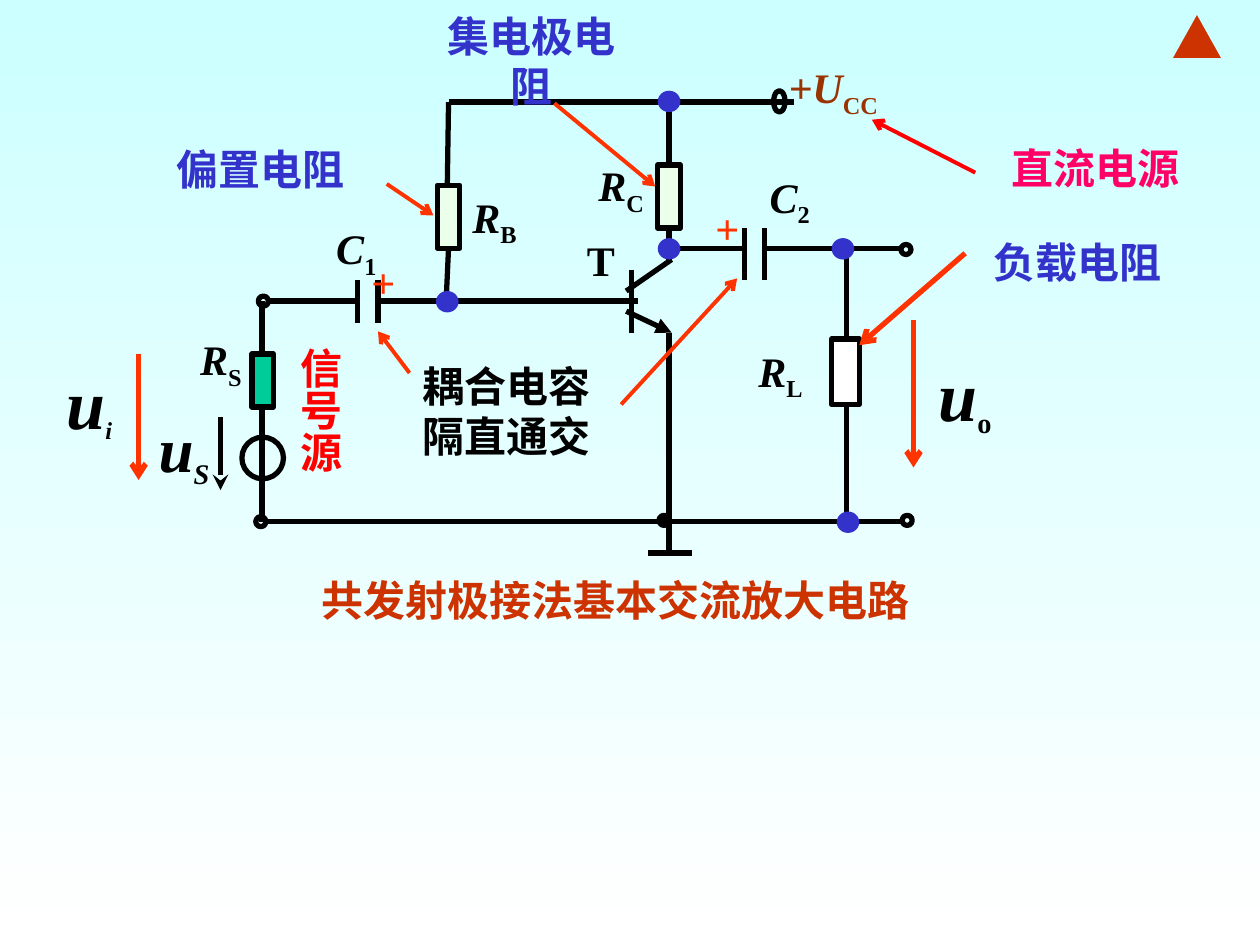
from dataclasses import dataclass
from typing import NamedTuple

from lxml.etree import SubElement
from pptx import Presentation
from pptx.dml.color import RGBColor
from pptx.enum.shapes import MSO_CONNECTOR as Link, MSO_SHAPE as Preset
from pptx.enum.text import MSO_ANCHOR as Anchor, MSO_AUTO_SIZE as Fit, PP_ALIGN as Align
from pptx.oxml.ns import qn
from pptx.util import Pt

PX = 9144
FONT = "Times New Roman"
COLORS = {
    "sky": "CCFFFF", "white": "FFFFFF", "black": "000000", "blue": "3333CC",
    "orange": "FF3300", "red": "FF0000", "pink": "FF0066", "brown": "993300",
    "rust": "CC3300", "pale": "EBFFEB", "green": "00CC99",
}


class Line(NamedTuple):
    x1: int
    y1: int
    x2: int
    y2: int
    color: str = "black"
    weight: float = 3
    head: str = ""


class Part(NamedTuple):
    x: int
    y: int
    w: int
    h: int
    fill: str = ""
    outlined: bool = True
    preset: Preset = Preset.OVAL


@dataclass
class Label:
    x: int
    y: int
    w: int
    h: int
    text: str
    color: str = "black"
    centred: bool = True
    middle: bool = True
    wrap: bool = False
    vertical: bool = False


@dataclass
class Symbol:
    x: int
    y: int
    w: int
    h: int
    letter: str
    sub: str
    size: int = 24
    sub_size: int = 24
    sub_italic: bool = False
    color: str = "black"
    middle: bool = False


WIRES = [
    Line(356, 81, 630, 81), Line(356, 81, 355, 147), Line(356, 197, 354, 241),
    Line(531, 81, 531, 131), Line(531, 181, 531, 206),
    Line(356, 239, 506, 239), Line(284, 239, 213, 239), Line(496, 239, 300, 239),
    Line(501, 214, 501, 264), Line(497, 231, 533, 206),
    Line(497, 247, 533, 264, head="triangle"),
    Line(531, 264, 531, 439), Line(514, 439, 549, 439),
    Line(528, 197, 591, 197), Line(607, 197, 717, 197),
    Line(213, 414, 717, 414), Line(672, 198, 672, 414),
    Line(208, 239, 208, 281), Line(208, 322, 208, 414),
]
PLATES = [Line(x, top, x, bottom) for x, top, bottom in
          [(284, 222, 256), (300, 222, 256), (591, 181, 222), (607, 181, 222)]]
ARROWS = [
    Line(725, 254, 725, 371, "orange", 3, "arrow"),
    Line(110, 281, 110, 381, "orange", 3, "arrow"),
    Line(766, 201, 682, 274, "orange", 3, "arrow"),
    Line(325, 296, 300, 263, "orange", 2.25, "arrow"),
    Line(493, 321, 585, 221, "orange", 2.25, "arrow"),
    Line(307, 146, 344, 171, "orange", 2.25, "arrow"),
    Line(440, 82, 520, 148, "orange", 2.25, "arrow"),
    Line(774, 137, 692, 95, "red", 2.25, "arrow"),
    Line(175, 331, 175, 389, head="stealth"),
]
RESISTORS = [
    Part(522, 131, 18, 50, "pale", preset=Preset.RECTANGLE),
    Part(347, 147, 18, 50, "pale", preset=Preset.RECTANGLE),
    Part(660, 269, 22, 52, "white", preset=Preset.RECTANGLE),
    Part(200, 281, 17, 42, "green", preset=Preset.RECTANGLE),
]
TERMINALS = [Part(x, y, 8, 8) for x, y in [(715, 194), (716, 409), (205, 235), (203, 410)]]
SUPPLY_TERMINAL = Part(614, 72, 9, 17)
GROUND_NODE = Part(523, 409, 8, 8, "black")
SIGNAL_SOURCE = Part(192, 347, 33, 33)
NODES = [Part(x, y, 18, 17, "blue", False) for x, y in
         [(660, 189), (346, 231), (522, 189), (664, 406), (522, 72)]]
EMBLEM = Part(931, 12, 38, 34, "rust", False, Preset.ISOSCELES_TRIANGLE)

SYMBOLS = [
    Symbol(616, 44, 91, 56, "+U", "CC", color="brown"),
    Symbol(365, 147, 55, 56, "R", "B"),
    Symbol(465, 122, 56, 56, "R", "C"),
    Symbol(257, 172, 52, 56, "C", "1"),
    Symbol(601, 131, 62, 56, "C", "2"),
    Symbol(592, 269, 55, 56, "R", "L"),
    Symbol(149, 260, 53, 56, "R", "S"),
    Symbol(735, 274, 62, 80, "u", "o", 40, 28),
    Symbol(43, 280, 56, 78, "u", "i", 40, 24, True, middle=True),
    Symbol(116, 320, 60, 74, "u", "S", 36, 28, True, middle=True),
]
LABELS = [
    Label(456, 181, 42, 50, "T", centred=False, middle=False),
    Label(310, 281, 184, 90, "耦合电容\n隔直通交", wrap=True),
    Label(130, 109, 153, 50, "偏置电阻", "blue"),
    Label(329, 23, 186, 50, "集电极电阻", "blue"),
    Label(793, 108, 153, 50, "直流电源", "pink"),
    Label(765, 183, 181, 50, "负载电阻", "blue", middle=False, wrap=True),
    Label(245, 451, 723, 50, "共发射极接法基本交流放大电路", "rust", False, False, True),
    Label(285, 199, 63, 50, "+", "orange", False, False, True),
    Label(558, 156, 63, 50, "+", "orange", False, False, True),
    Label(224, 266, 60, 127, "信号源", "red", wrap=True, vertical=True),
]


def rgb(color: str) -> RGBColor:
    return RGBColor.from_string(COLORS[color])


def draw_line(slide, line: Line) -> None:
    ends = [v * PX for v in (line.x1, line.y1, line.x2, line.y2)]
    wire = slide.shapes.add_connector(Link.STRAIGHT, *ends)
    wire.line.color.rgb = rgb(line.color)
    wire.line.width = Pt(line.weight)
    if line.head:
        SubElement(wire.line._get_or_add_ln(), qn("a:tailEnd"), type=line.head)
    SubElement(wire._element.spPr, qn("a:effectLst"))


def draw_part(slide, part: Part) -> None:
    body = slide.shapes.add_shape(part.preset, *(v * PX for v in part[:4]))
    body.shadow.inherit = False
    if part.fill:
        body.fill.solid()
        body.fill.fore_color.rgb = rgb(part.fill)
    else:
        body.fill.background()
    if part.outlined:
        body.line.color.rgb = rgb("black")
        body.line.width = Pt(3)
    else:
        body.line.fill.background()


def add_frame(slide, spot: Label | Symbol, wrap: bool = False):
    box = slide.shapes.add_textbox(spot.x * PX, spot.y * PX, spot.w * PX, spot.h * PX)
    frame = box.text_frame
    frame.word_wrap = wrap
    frame.auto_size = Fit.SHAPE_TO_FIT_TEXT
    frame.vertical_anchor = Anchor.MIDDLE if spot.middle else Anchor.TOP
    return frame


def style(run, size: int, color: str, italic: bool = False) -> None:
    run.font.name = FONT
    run.font.size = Pt(size)
    run.font.bold = True
    run.font.italic = italic
    run.font.color.rgb = rgb(color)


def draw_symbol(slide, symbol: Symbol) -> None:
    paragraph = add_frame(slide, symbol).paragraphs[0]
    paragraph.text = symbol.letter
    style(paragraph.runs[0], symbol.size, symbol.color, True)
    sub = paragraph.add_run()
    sub.text = symbol.sub
    style(sub, symbol.sub_size, symbol.color, symbol.sub_italic)
    sub._r.get_or_add_rPr().set("baseline", "-25000")


def draw_label(slide, label: Label) -> None:
    frame = add_frame(slide, label, label.wrap)
    frame.text = label.text
    if label.vertical:
        frame._txBody.bodyPr.set("vert", "eaVert")
        frame.margin_left = frame.margin_right = 5 * PX
        frame.margin_top = frame.margin_bottom = 10 * PX
    for paragraph in frame.paragraphs:
        paragraph.alignment = Align.CENTER if label.centred else Align.LEFT
        style(paragraph.runs[0], 24, label.color)


def main() -> None:
    deck = Presentation()
    deck.slide_width, deck.slide_height = 1000 * PX, 750 * PX
    slide = deck.slides.add_slide(deck.slide_layouts[6])
    sky = slide.background.fill
    sky.gradient()
    sky.gradient_angle = 270
    for stop, color, position in zip(sky.gradient_stops, ("sky", "white"), (0, 1)):
        stop.color.rgb = rgb(color)
        stop.position = position
    for line in WIRES + PLATES:
        draw_line(slide, line)
    for part in [EMBLEM, *RESISTORS, *TERMINALS, SUPPLY_TERMINAL, GROUND_NODE,
                 SIGNAL_SOURCE, *NODES]:
        draw_part(slide, part)
    for arrow in ARROWS:
        draw_line(slide, arrow)
    for symbol in SYMBOLS:
        draw_symbol(slide, symbol)
    for label in LABELS:
        draw_label(slide, label)
    deck.save("out.pptx")


if __name__ == "__main__":
    main()
